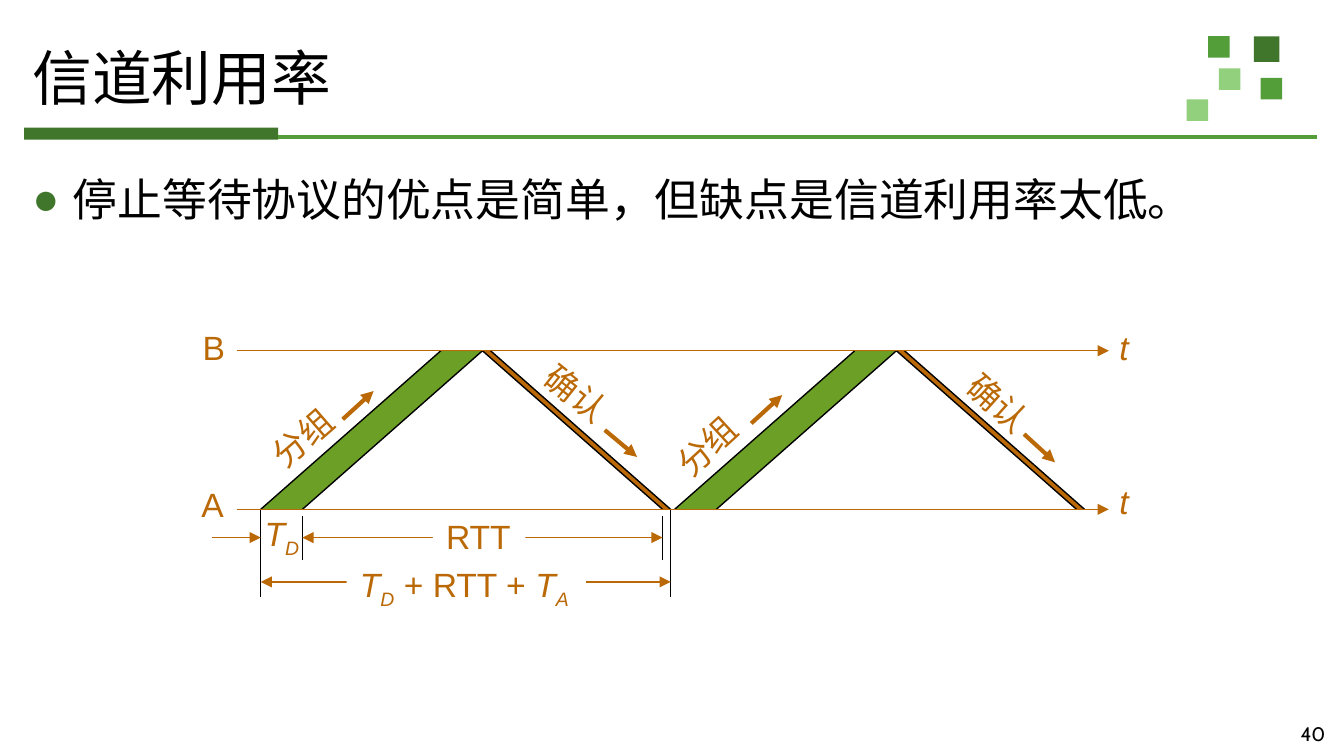
from dataclasses import dataclass
from typing import NamedTuple

from lxml.etree import SubElement
from pptx import Presentation
from pptx.dml.color import RGBColor
from pptx.enum.shapes import MSO_CONNECTOR, MSO_SHAPE
from pptx.enum.text import MSO_ANCHOR, MSO_AUTO_SIZE, PP_ALIGN
from pptx.oxml.ns import qn
from pptx.util import Inches, Pt


@dataclass(frozen=True)
class Theme:
    dark: str = "3F762B"
    mid: str = "549E39"
    light: str = "93D07D"
    packet: str = "6B9F25"
    ink: str = "BA6906"
    black: str = "000000"
    white: str = "FFFFFF"
    serif: str = "Times New Roman"
    sans: str = "Arial"
    number: str = "Cabin"
    title_pt: float = 32
    body_pt: float = 24
    label_pt: float = 18
    number_pt: float = 10.5
    thin: float = 0.75
    rule: float = 2
    bold: float = 2.25


class Run(NamedTuple):
    text: str
    italic: bool = False
    sub: bool = False


class Label(NamedTuple):
    x: float
    y: float
    w: float
    runs: tuple[Run, ...]
    angle: float = 0
    fill: str | None = None


class Square(NamedTuple):
    x: float
    y: float
    size: float
    color: str


class Line(NamedTuple):
    x1: float
    y1: float
    x2: float
    y2: float
    color: str
    width: float = 0.75
    ends: tuple[str, ...] = ()


class Cycle(NamedTuple):
    """One packet and its acknowledgement, starting at column x."""
    x: float
    notes: tuple[Label, ...]
    arrows: tuple[Line, ...]


T = Theme()
COLS, ROWS = 100, 56.25  # square cells, a tenth of an inch
TOP, BASE, LABEL_H = 26.1, 37.9, 4
PACKET_W, RISE, ACK_W = 3.1, 13.4, 0.6
TAIL, BOTH = ("tailEnd",), ("headEnd", "tailEnd")
TD = (Run("T", True), Run("D", True, True))
TA = (Run("T", True), Run("A", True, True))
TIME = (Run("t", True),)
PACKET, ACK = (Run("分组"),), (Run("确认"),)

SQUARES = (
    Square(93.3, 2.7, 1.9, T.dark),
    Square(89.9, 2.7, 1.6, T.mid),
    Square(93.8, 5.8, 1.6, T.mid),
    Square(90.7, 5.1, 1.6, T.light),
    Square(88.3, 7.4, 1.6, T.light),
)
CYCLES = (
    Cycle(19.4,
          (Label(19, 30.5, 7.1, PACKET, 318.9), Label(39.4, 27.3, 7.1, ACK, 38.5)),
          (Line(25.5, 31.2, 27.8, 29.1, T.ink, T.bold, TAIL),
           Line(45, 32, 47.4, 34, T.ink, T.bold, TAIL))),
    Cycle(50.2,
          (Label(49.1, 31.1, 7.1, PACKET, 317.4), Label(70.8, 28, 7.1, ACK, 41.8)),
          (Line(55.9, 31.5, 58.2, 29.4, T.ink, T.bold, TAIL),
           Line(76.2, 32.3, 78.5, 34.4, T.ink, T.bold, TAIL))),
)
START = CYCLES[0].x
SENT = START + PACKET_W
ACK_IN = SENT + 2 * RISE
ACK_END = ACK_IN + ACK_W
MEASURES = (
    *(Line(x, BASE, x, 44.4, T.black) for x in (START, ACK_END)),
    *(Line(x, 38.4, x, 41.7, T.black) for x in (SENT, ACK_IN)),
    Line(SENT, 40, ACK_IN, 40, T.ink, ends=BOTH),
    Line(15.8, 40, START, 40, T.ink, ends=TAIL),
    Line(START, 43.3, ACK_END, 43.3, T.ink, ends=BOTH),
)
LABELS = (
    Label(18.7, 37.7, 4.8, TD),
    Label(32.2, 37.9, 6.9, (Run("RTT"),), fill=T.white),
    Label(25.8, 41.5, 17.8, (*TD, Run(" + RTT + "), *TA), fill=T.white),
    Label(14, 35.5, 3.7, (Run("A"),)),
    Label(14.1, 23.8, 3.7, (Run("B"),)),
    Label(82.3, 23.8, 2.7, TIME),
    Label(82.3, 35.3, 2.7, TIME),
)


def cells(*values: float) -> list[int]:
    return [Inches(v / 10) for v in values]


def apply(obj, **values) -> None:
    for name, value in values.items():
        setattr(obj, name, value)


def style_font(font, name: str, size: float, color: str, italic: bool = False) -> None:
    apply(font, name=name, size=Pt(size), italic=italic)
    font.color.rgb = RGBColor.from_string(color)


def paint(sp, color: str) -> None:
    sp.shadow.inherit = False
    sp.fill.solid()
    sp.fill.fore_color.rgb = RGBColor.from_string(color)
    sp.line.fill.background()


def add_rect(s, x: float, y: float, w: float, h: float, color: str) -> None:
    paint(s.shapes.add_shape(MSO_SHAPE.RECTANGLE, *cells(x, y, w, h)), color)


def add_line(s, line: Line) -> None:
    c = s.shapes.add_connector(MSO_CONNECTOR.STRAIGHT, *cells(*line[:4]))
    c.line.width = Pt(line.width)
    c.line.color.rgb = RGBColor.from_string(line.color)
    for end in line.ends:
        SubElement(c.line._ln, qn(f"a:{end}"), type="triangle")
    SubElement(c._element.spPr, qn("a:effectLst"))


def add_label(s, label: Label) -> None:
    sp = s.shapes.add_textbox(*cells(label.x, label.y, label.w, LABEL_H))
    sp.rotation = label.angle
    if label.fill:
        sp.fill.solid()
        sp.fill.fore_color.rgb = RGBColor.from_string(label.fill)
    apply(sp.text_frame, word_wrap=False, auto_size=MSO_AUTO_SIZE.SHAPE_TO_FIT_TEXT)
    p = sp.text_frame.paragraphs[0]
    for run in label.runs:
        r = p.add_run()
        r.text = run.text
        style_font(r.font, T.sans, T.label_pt, T.ink, run.italic)
        if run.sub:
            r._r.get_or_add_rPr().set("baseline", "-25000")


def add_band(s, bottom: float, top: float, width: float, color: str) -> None:
    """Slanted band between the two time axes, edged in black."""
    corners = [(bottom, BASE), (top, TOP), (top + width, TOP), (bottom + width, BASE)]
    points = [tuple(cells(*c)) for c in corners]
    builder = s.shapes.build_freeform(*points[0], scale=1.0)
    builder.add_line_segments(points[1:], close=True)
    paint(builder.convert_to_shape(), color)
    for shift in (0, width):
        add_line(s, Line(bottom + shift, BASE, top + shift, TOP, T.black))


def add_cycle(s, cycle: Cycle) -> None:
    peak = cycle.x + PACKET_W + RISE
    add_band(s, peak + RISE, peak, ACK_W, T.ink)
    add_band(s, cycle.x, cycle.x + RISE, PACKET_W, T.packet)
    for note in cycle.notes:
        add_label(s, note)
    for arrow in cycle.arrows:
        add_line(s, arrow)


def fill_placeholder(sp, box: tuple, text: str, size: float, indent: float,
                     anchor, top: float, bullet: str = "") -> None:
    apply(sp, **dict(zip(("left", "top", "width", "height"), cells(*box))))
    tf = sp.text_frame
    apply(tf, word_wrap=True, auto_size=MSO_AUTO_SIZE.NONE, vertical_anchor=anchor,
          margin_left=Inches(0.07), margin_right=Inches(0.07),
          margin_top=Inches(top), margin_bottom=Inches(0.04))
    p = tf.paragraphs[0]
    apply(p, alignment=PP_ALIGN.LEFT, space_before=Pt(0))
    pPr = p._p.get_or_add_pPr()
    apply_indent = {"marL": Inches(indent), "indent": -Inches(indent)}
    for name, value in apply_indent.items():
        pPr.set(name, str(value))
    if bullet:
        SubElement(SubElement(pPr, qn("a:buClr")), qn("a:srgbClr"), val=T.dark)
        SubElement(pPr, qn("a:buFont"), typeface=T.sans)
        SubElement(pPr, qn("a:buChar"), char=bullet)
    else:
        p.line_spacing = 0.9
    r = p.add_run()
    r.text = text
    style_font(r.font, T.serif, size, T.black)


def add_page_number(s, text: str) -> None:
    tf = s.shapes.add_textbox(*cells(93.8, 53.2, 5.8, 3)).text_frame
    tf.word_wrap = True
    p = tf.paragraphs[0]
    p.alignment = PP_ALIGN.RIGHT
    r = p.add_run()
    r.text = text
    style_font(r.font, T.number, T.number_pt, T.black)


def main() -> None:
    prs = Presentation()
    prs.slide_width, prs.slide_height = cells(COLS, ROWS)
    s = prs.slides.add_slide(prs.slide_layouts[1])
    fill_placeholder(s.shapes.title, (1.7, 1.8, 79.6, 8.4), "信道利用率",
                     T.title_pt, 0.75, MSO_ANCHOR.MIDDLE, 0.04)
    fill_placeholder(s.placeholders[1], (1.7, 11.4, 95.9, 7.2),
                     "停止等待协议的优点是简单，但缺点是信道利用率太低。",
                     T.body_pt, 0.3, MSO_ANCHOR.TOP, 0.14, "●")
    for q in SQUARES:
        add_rect(s, q.x, q.y, q.size, q.size, q.color)
    add_rect(s, 1.8, 9.5, 18.9, 0.9, T.dark)
    add_line(s, Line(20.7, 10.2, 98, 10.2, T.mid, T.rule))
    for line in MEASURES:
        add_line(s, line)
    for label in LABELS:
        add_label(s, label)
    for cycle in CYCLES:
        add_cycle(s, cycle)
    for y in (TOP, BASE):
        add_line(s, Line(17.6, y, 82.5, y, T.ink, ends=TAIL))
    add_page_number(s, "40")
    prs.save("out.pptx")


if __name__ == "__main__":
    main()
